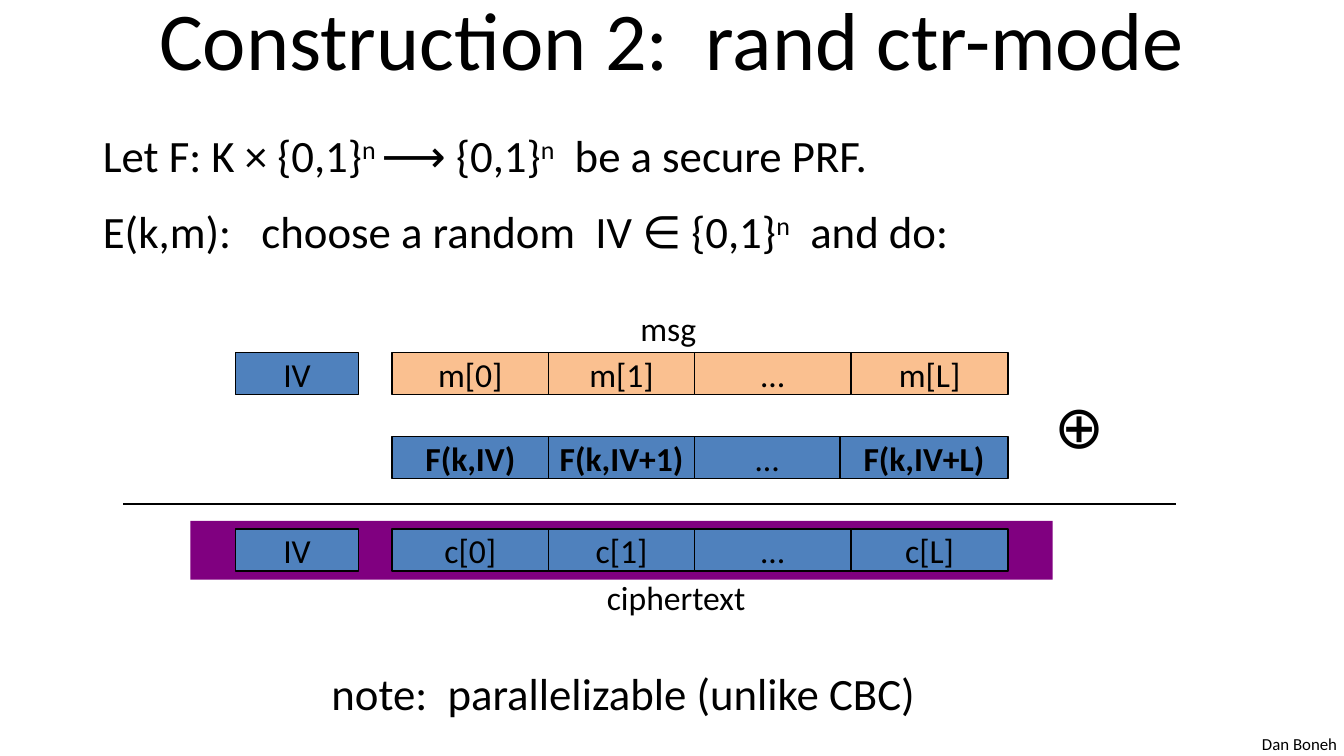
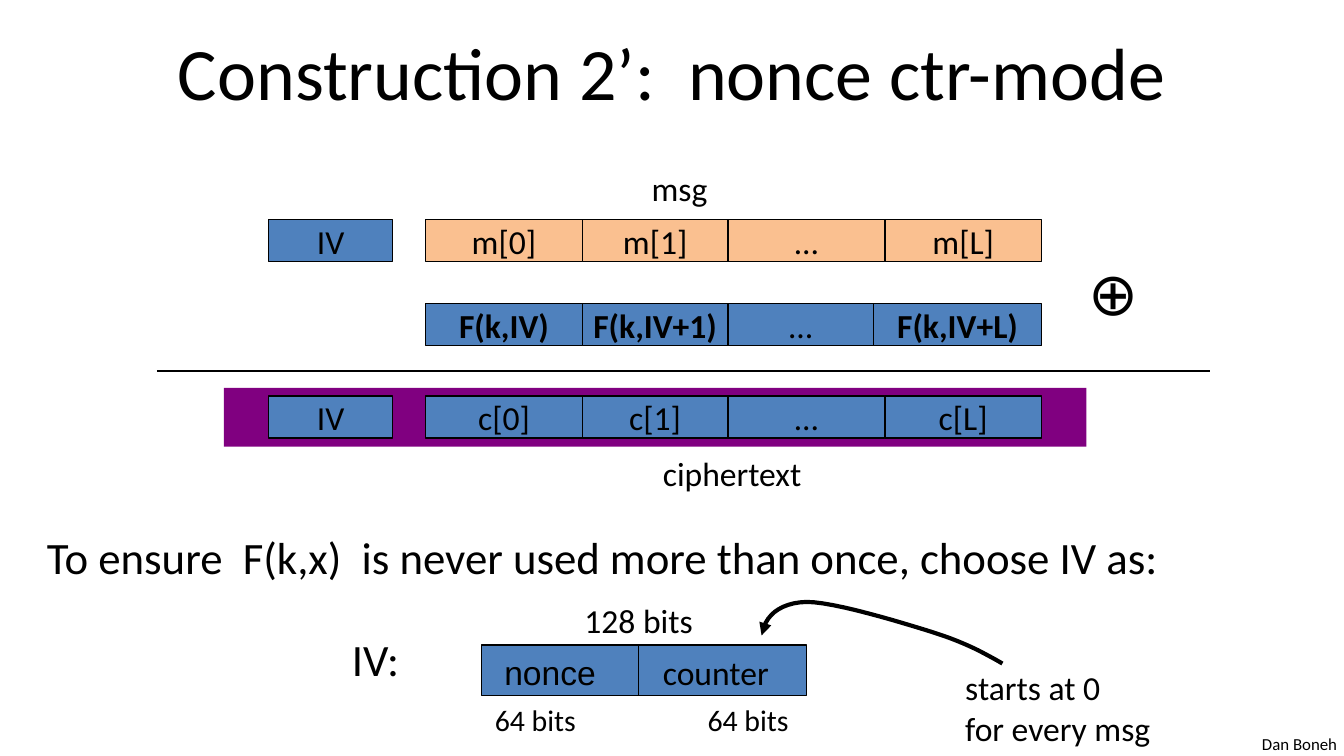
import dataclasses

import lxml.etree
import pptx
import pptx.dml.color
import pptx.enum.shapes
import pptx.enum.text
import pptx.oxml.ns
import pptx.util

Pt = pptx.util.Pt
RGBColor = pptx.dml.color.RGBColor
Align = pptx.enum.text.PP_ALIGN
Anchor = pptx.enum.text.MSO_ANCHOR
qn = pptx.oxml.ns.qn


@dataclasses.dataclass(frozen=True)
class Theme:
    font: str = "Calibri"
    nonce_font: str = "Arial"
    ink: RGBColor = RGBColor(0, 0, 0)
    message: RGBColor = RGBColor(0xFA, 0xC0, 0x90)
    block: RGBColor = RGBColor(0x4F, 0x81, 0xBD)
    band: RGBColor = RGBColor(0x80, 0, 0x80)
    footer_size: float = 9
    small_size: float = 16
    label_size: float = 18
    body_size: float = 24
    operator_size: float = 32
    thin_line: float = 0.75
    arrow_line: float = 2.25


theme = Theme()


def write_text(shape, text, size, font=theme.font, bold=False, align=Align.LEFT,
               anchor=Anchor.TOP, wrap=False):
    """Fill the shape with text in one style."""
    frame = shape.text_frame
    frame.text = text
    frame.word_wrap = wrap
    frame.vertical_anchor = anchor
    for paragraph in frame.paragraphs:
        paragraph.alignment = align
        for run in paragraph.runs:
            run.font.name = font
            run.font.size = Pt(size)
            run.font.bold = bold
            run.font.color.rgb = theme.ink


def add_rectangle(slide, left, top, width, height, fill, outlined=True):
    shape = slide.shapes.add_shape(pptx.enum.shapes.MSO_SHAPE.RECTANGLE,
                                   Pt(left), Pt(top), Pt(width), Pt(height))
    shape.shadow.inherit = False
    shape.fill.solid()
    shape.fill.fore_color.rgb = fill
    if outlined:
        shape.line.color.rgb = theme.ink
        shape.line.width = Pt(theme.thin_line)
    else:
        shape.line.fill.background()
    return shape


presentation = pptx.Presentation()
presentation.slide_width = Pt(720)
presentation.slide_height = Pt(405)
random_slide, nonce_slide = [
    presentation.slides.add_slide(presentation.slide_layouts[6]) for _ in range(2)]

# Titles: text, size, left, top, width, height
titles = [
    (random_slide, "Construction 2:  rand ctr-mode", 44, 36, -13.5, 648, 67.5),
    (nonce_slide, "Construction 2’:  nonce ctr-mode", 39.6, 18, 13.5, 684, 49.5),
]
for slide, title, size, left, top, width, height in titles:
    box = slide.shapes.add_textbox(Pt(left), Pt(top), Pt(width), Pt(height))
    write_text(box, title, size, align=Align.CENTER, anchor=Anchor.MIDDLE, wrap=True)

# Counter-mode diagram: row offset from the message row, fill, bold, (text, width) cells
block_height = 22.5
iv_width = 92 * 0.72
iv_gap = 84
diagram_rows = [
    (0, theme.message, False, [("m[0]", 84), ("m[1]", 78), ("…", 84), ("m[L]", 84)]),
    (45, theme.block, True,
     [("F(k,IV)", 84), ("F(k,IV+1)", 78), ("…", 78), ("F(k,IV+L)", 90)]),
    (94.5, theme.block, False, [("c[0]", 84), ("c[1]", 78), ("…", 84), ("c[L]", 84)]),
]
lines = []
texts = []
for slide, diagram_left, diagram_top in [(random_slide, 126, 189),
                                         (nonce_slide, 144, 117.75)]:
    add_rectangle(slide, diagram_left - 24, diagram_top + 90, 462, 31.5,
                  theme.band, outlined=False)
    for offset, fill, bold, cells in diagram_rows:
        top = diagram_top + offset
        left = diagram_left + iv_gap
        for text, width in cells:
            block = add_rectangle(slide, left, top, width, block_height, fill)
            write_text(block, text, theme.label_size, bold=bold and text != "…",
                       align=Align.CENTER, anchor=Anchor.MIDDLE)
            left += width
        if not bold:
            block = add_rectangle(slide, diagram_left, top, iv_width, block_height,
                                  theme.block)
            write_text(block, "IV", theme.label_size, align=Align.CENTER,
                       anchor=Anchor.MIDDLE)
    lines.append((slide, diagram_left - 60, diagram_top + 81,
                  diagram_left + 504, diagram_top + 81))
    texts += [
        (slide, "⊕", theme.operator_size, diagram_left + 432, diagram_top + 15.5, 39.6, 46),
        (slide, "Dan Boneh", theme.footer_size, 669, 389.5, 54.7, 18),
    ]

# Layout of the IV
nonce_box = add_rectangle(nonce_slide, 258, 345.5, 174, 27, theme.block)
write_text(nonce_box, "nonce", theme.label_size, font=theme.nonce_font)
nonce_box.text_frame.margin_left = Pt(12.2)
lines.append((nonce_slide, 342, 345.5, 342, 372.5))

for slide, start_x, start_y, end_x, end_y in lines:
    line = slide.shapes.add_connector(pptx.enum.shapes.MSO_CONNECTOR.STRAIGHT,
                                      Pt(start_x), Pt(start_y), Pt(end_x), Pt(end_y))
    line.line.color.rgb = theme.ink
    line.line.width = Pt(theme.thin_line)
    lxml.etree.SubElement(line._element.spPr, qn("a:effectLst"))

# Labels: text, size, left, top, width, height
texts += [
    (random_slide, "msg", theme.label_size, 336, 161.5, 44.6, 29),
    (random_slide, "ciphertext", theme.label_size, 318, 305.5, 90, 29),
    (random_slide, "note:  parallelizable (unlike CBC)", theme.body_size,
     170.5, 353, 330, 36),
    (nonce_slide, "msg", theme.label_size, 342, 86.5, 44.6, 29),
    (nonce_slide, "ciphertext", theme.label_size, 348, 239, 90, 29),
    (nonce_slide, "To ensure  F(k,x)  is never used more than once, choose IV as:",
     theme.body_size, 18, 280, 618.5, 36),
    (nonce_slide, "IV:", theme.body_size, 181.5, 335, 41, 36),
    (nonce_slide, "128 bits", theme.label_size, 306, 318, 73.5, 29),
    (nonce_slide, "counter", theme.label_size, 348, 345.5, 72.7, 29),
    (nonce_slide, "64 bits", theme.small_size, 258, 372.5, 58.3, 26.6),
    (nonce_slide, "64 bits", theme.small_size, 372, 372.5, 58.3, 26.6),
    (nonce_slide, "starts at 0\vfor every msg", theme.label_size, 510, 354, 115, 51),
]
for slide, text, size, left, top, width, height in texts:
    box = slide.shapes.add_textbox(Pt(left), Pt(top), Pt(width), Pt(height))
    write_text(box, text, size)

# Definition of the scheme: (text, is superscript) runs
definition = [
    [("Let F: K × {0,1}", False), ("n ", True), ("⟶ {0,1}", False), ("n", True),
     ("  be a secure PRF.", False)],
    [("E(k,m):\tchoose a random  IV ∈ {0,1}", False), ("n", True),
     ("  and do:", False)],
]
box = random_slide.shapes.add_textbox(Pt(48), Pt(65), Pt(477.5), Pt(78))
frame = box.text_frame
frame.word_wrap = False
for index, parts in enumerate(definition):
    paragraph = frame.add_paragraph() if index else frame.paragraphs[0]
    tabs = lxml.etree.SubElement(paragraph._p.get_or_add_pPr(), qn("a:tabLst"))
    lxml.etree.SubElement(tabs, qn("a:tab"), pos=str(Pt(85)), algn="l")
    if index:
        paragraph.space_before = Pt(12)
    for text, is_superscript in parts:
        run = paragraph.add_run()
        run.text = text
        run.font.name = theme.font
        run.font.size = Pt(theme.body_size)
        run.font.color.rgb = theme.ink
        if is_superscript:
            run._r.get_or_add_rPr().set("baseline", "30000")

# Curved arrow to the counter, drawn through points on Bezier segments
curve_start = (537, 355.5)
curve_segments = [
    [(526.5, 349.5), (517.5, 344.5), (500.5, 339)],
    [(483, 333.5), (447, 322.5), (432, 322.5)],
    [(417, 323), (409.5, 330.5), (408, 340.5)],
]
steps = 12
points = []
start = curve_start
for first_control, second_control, end in curve_segments:
    for step in range(1, steps + 1):
        t = step / steps
        weights = ((1 - t) ** 3, 3 * t * (1 - t) ** 2, 3 * t ** 2 * (1 - t), t ** 3)
        corners = (start, first_control, second_control, end)
        points.append(tuple(
            Pt(sum(weight * corner[axis] for weight, corner in zip(weights, corners)))
            for axis in range(2)))
    start = end
builder = nonce_slide.shapes.build_freeform(Pt(curve_start[0]), Pt(curve_start[1]))
builder.add_line_segments(points, close=False)
arrow = builder.convert_to_shape()
arrow.shadow.inherit = False
arrow.fill.background()
arrow.line.color.rgb = theme.ink
arrow.line.width = Pt(theme.arrow_line)
lxml.etree.SubElement(arrow.line._get_or_add_ln(), qn("a:tailEnd"), type="triangle")

presentation.save("out.pptx")
